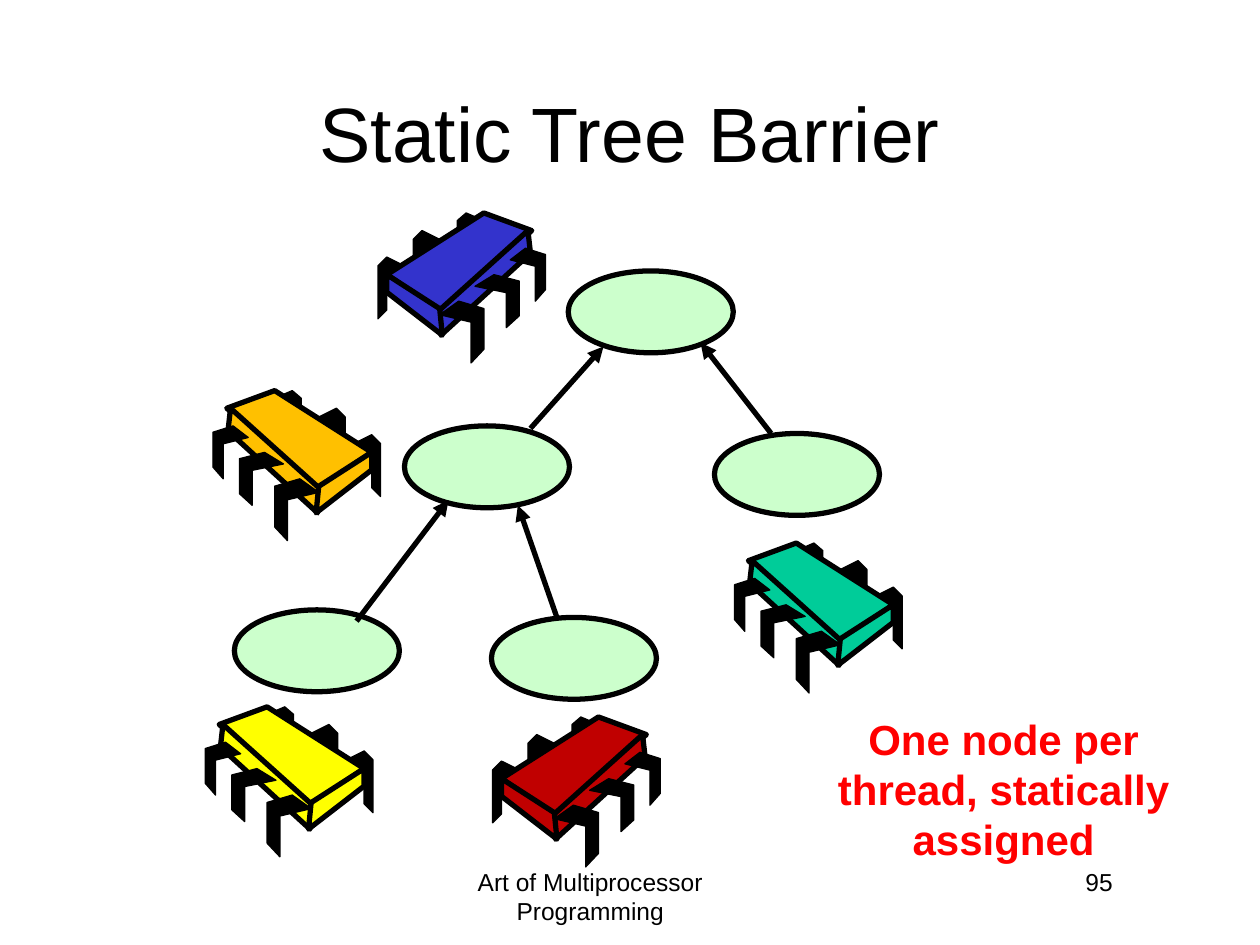
from lxml import etree
from pptx import Presentation
from pptx import util as u
from pptx.dml.color import RGBColor
from pptx.enum import shapes, text
from pptx.oxml.ns import qn

CELL = u.Inches(0.1)
PIN = u.Inches(0.07)
INK = "000000"
OVAL = (13.1, 6.5)
BACK = [(0, 1/7), (2/3, 0), (1, 1/7), (1, 1), (2/3, 6/7), (2/3, 2/7), (0, 3/7)]
FRONT = [(0.57, 0), (1, 0.22), (0.29, 0.34), (0.29, 1), (0, 0.78), (0, 0.12)]
REAR_LEGS = [(16, 5, 3, 7), (12, 2, 3, 7), (7, 0, 3, 6)]
FORE_LEGS = [(7, 10, 5, 7), (3, 7, 5, 6), (0, 4, 4, 6)]
BODY = [
    [(7, 0), (18, 7), (11.86, 11.14), (1.57, 2)],
    [(2, 2), (12, 11), (11.86, 13.86), (1.71, 4.57)],
    [(18, 7), (18, 9), (11.7, 13.86), (12, 10.86)],
]
CHIP_COLS = 19


def grid(*nums):
    """Turn cells of the slide's 100 by 75 grid into lengths."""
    return [u.Emu(round(n * CELL)) for n in nums]


def hue(code):
    """Give the colour of a hex string."""
    return RGBColor.from_string(code)


def paint(shape, fill, width):
    """Fill a shape and outline it in ink."""
    shape.shadow.inherit = False
    shape.fill.solid()
    shape.fill.fore_color.rgb = hue(fill)
    shape.line.color.rgb = hue(INK)
    shape.line.width = u.Pt(width)


def write(shape, words, size, align, code=INK, bold=False):
    """Put one formatted paragraph into a shape."""
    shape.text_frame.text = words
    shape.text_frame.word_wrap = True
    para = shape.text_frame.paragraphs[0]
    para.alignment = align
    font = para.runs[0].font
    font.name, font.size, font.bold = "Arial", u.Pt(size), bold
    font.color.rgb = hue(code)


def title(slide, box, words):
    """Move and fill the title placeholder."""
    head = slide.shapes.title
    head.left, head.top, head.width, head.height = grid(*box)
    head.text_frame.vertical_anchor = text.MSO_ANCHOR.MIDDLE
    write(head, words, 44, text.PP_ALIGN.CENTER)


def label(slide, box, *style):
    """Add a text box on the grid."""
    note = slide.shapes.add_textbox(*grid(*box))
    write(note, *style)
    return note


def node(slide, spot):
    """Add one oval tree node at its top left spot."""
    oval = slide.shapes.add_shape(shapes.MSO_SHAPE.OVAL, *grid(*spot, *OVAL))
    paint(oval, "CCFFCC", 3)


def arrow(slide, ends):
    """Add an arrow from a child node to its parent."""
    line = slide.shapes.add_connector(shapes.MSO_CONNECTOR.STRAIGHT, *grid(*ends))
    line.line.color.rgb = hue(INK)
    line.line.width = u.Pt(3)
    props = line._element.spPr
    etree.SubElement(props.find(qn("a:ln")), qn("a:tailEnd"), type="triangle")
    etree.SubElement(props, qn("a:effectLst"))


def leg(form, box):
    """Stretch a unit leg outline over its box of pins."""
    x, y, w, h = box
    return [(x + w * a, y + h * b) for a, b in form]


def chip(slide, spot, fill, flip):
    """Draw a chip from its top left spot, mirrored on demand."""
    left, top = grid(*spot)
    group = slide.shapes.add_group_shape()
    parts = [(leg(BACK, box), INK, 0.75) for box in REAR_LEGS]
    parts += [(face, fill, 3) for face in BODY]
    parts += [(leg(FRONT, box), INK, 0.75) for box in FORE_LEGS]
    for points, code, width in parts:
        path = [(left + PIN * (CHIP_COLS - x if flip else x), top + PIN * y)
                for x, y in points]
        pen = group.shapes.build_freeform(*path[0])
        pen.add_line_segments(path[1:], close=True)
        paint(pen.convert_to_shape(), code, width)


def tree(slide):
    """Lay out the nodes, their arrows and the chips."""
    for spot in [(45.1, 21.5), (32.1, 33.8), (56.7, 34.4), (18.6, 48.4), (39, 49)]:
        node(slide, spot)
    for ends in [(42.1, 34, 47.9, 27.5), (61.2, 34.4, 55.6, 27.2),
                 (28.3, 49.3, 35.6, 39.7), (44.2, 49, 41.1, 40.1)]:
        arrow(slide, ends)
    for spot, fill, flip in [
        ((16.3, 56.1), "FFFF00", False),
        ((39.1, 56.9), "C00000", True),
        ((30, 16.9), "3333CC", True),
        ((58.3, 43.1), "00CC99", False),
        ((16.9, 31), "FFC000", False),
    ]:
        chip(slide, spot, fill, flip)


def main():
    """Build and save the slide."""
    deck = Presentation()
    deck.slide_width, deck.slide_height = grid(100, 75)
    slide = deck.slides.add_slide(deck.slide_layouts[5])
    mid, right = text.PP_ALIGN.CENTER, text.PP_ALIGN.RIGHT
    title(slide, (7.5, 4.2, 85, 12.5), "Static Tree Barrier")
    label(slide, (31, 68.3, 31.7, 5), "Art of Multiprocessor Programming", 14, mid)
    label(slide, (68.5, 68.3, 20.8, 5), "95", 14, right)
    tree(slide)
    note = label(slide, (62.4, 56.1, 34.5, 13),
                 "One node per thread, statically assigned", 24, mid, "FF0000", True)
    note.text_frame.auto_size = text.MSO_AUTO_SIZE.SHAPE_TO_FIT_TEXT
    deck.save("out.pptx")


if __name__ == "__main__":
    main()
